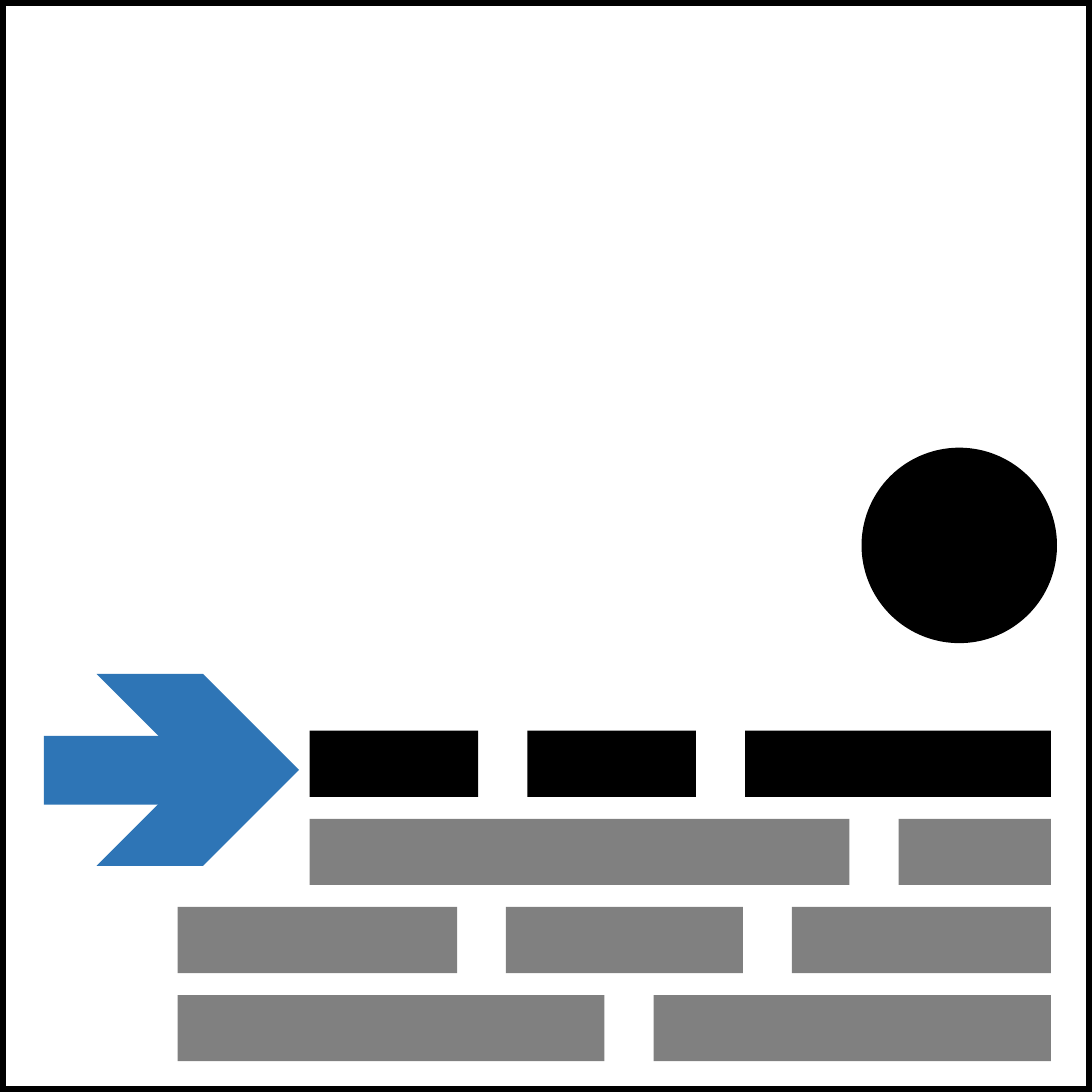
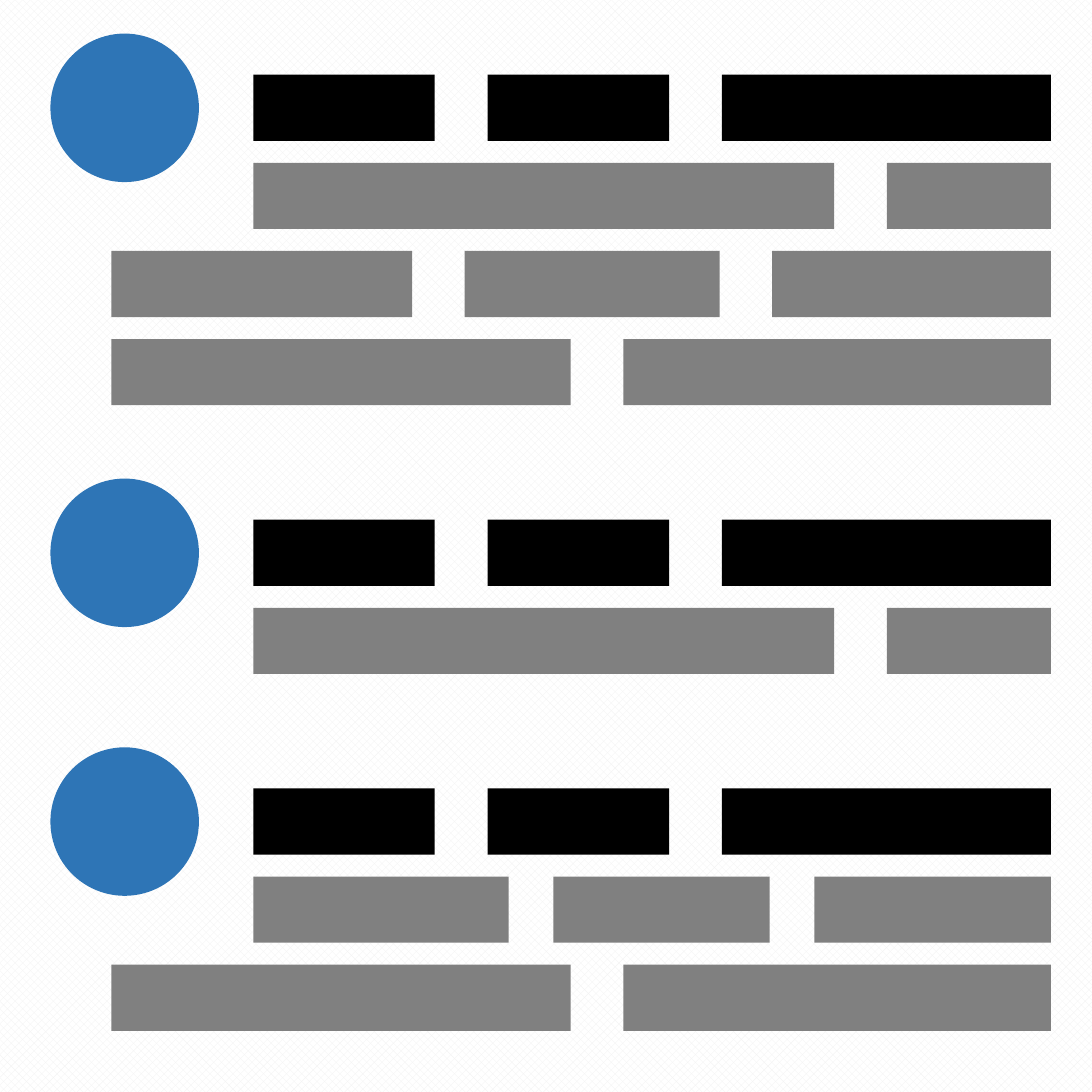
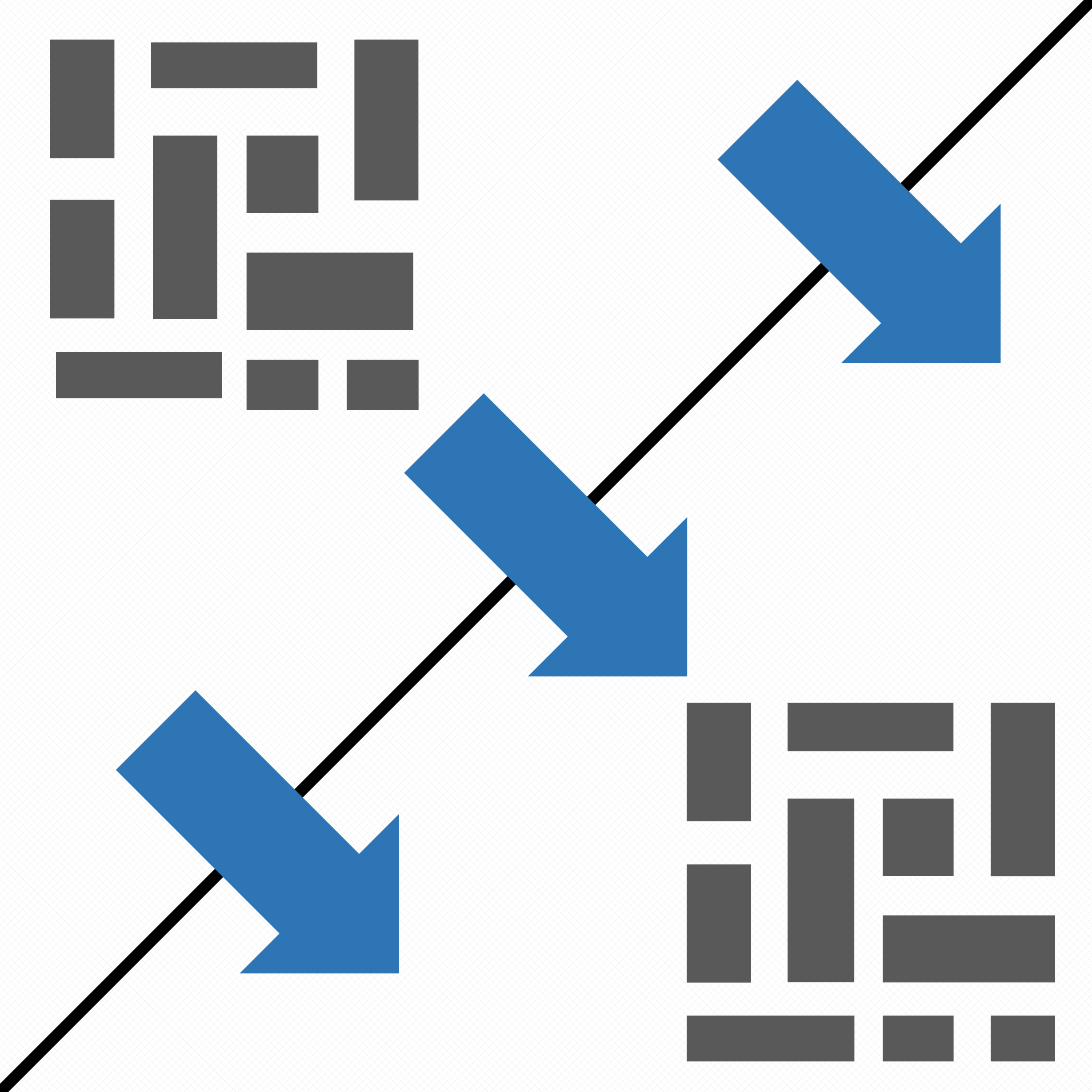
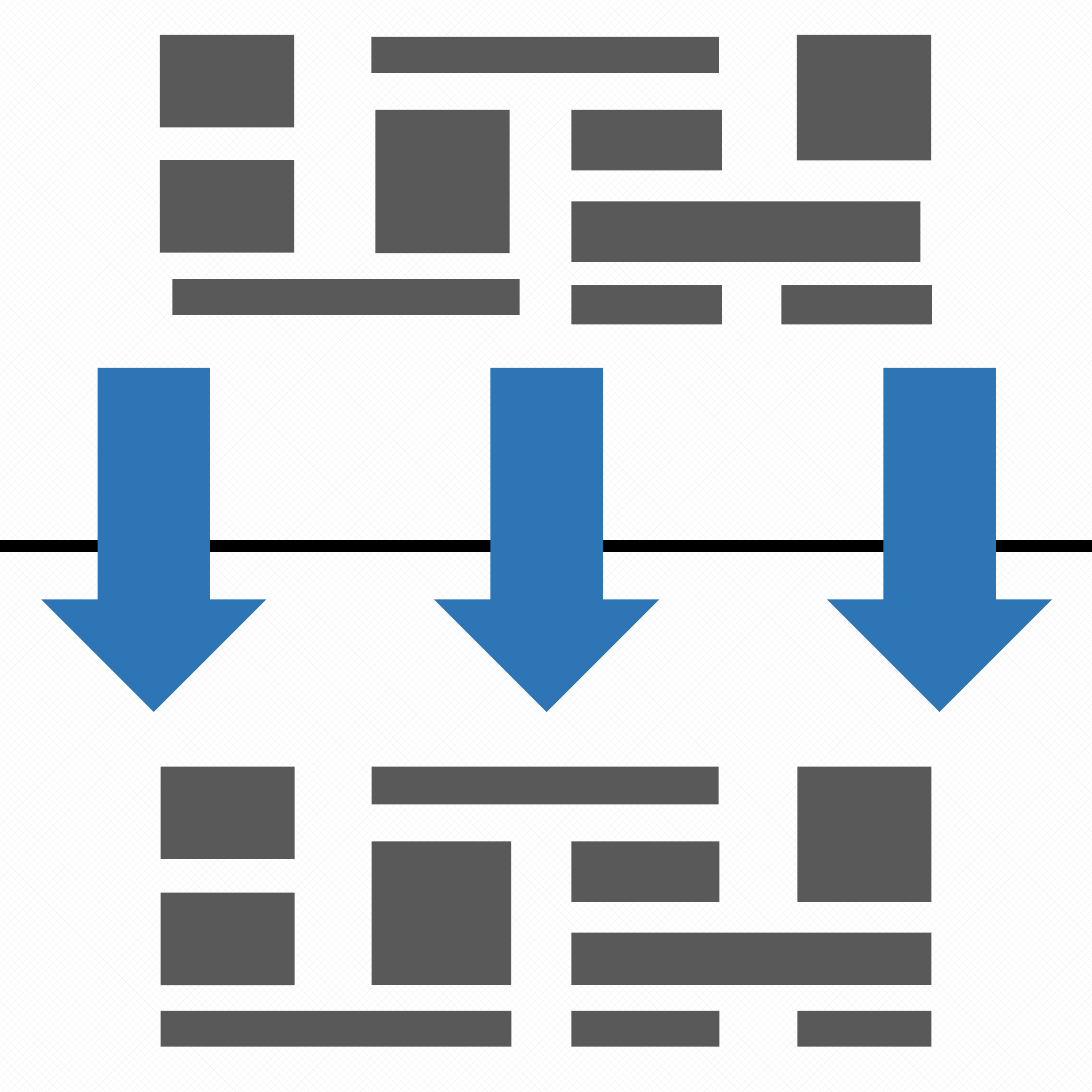
"""Build four square placeholder diagrams: a pointer, a list and two transformations."""
import dataclasses

import pptx
import pptx.dml.color
import pptx.enum.dml
import pptx.enum.shapes
import pptx.oxml
import pptx.oxml.ns
import pptx.shapes.autoshape
import pptx.shapes.shapetree
import pptx.slide
import pptx.util

RGB = pptx.dml.color.RGBColor
PRESET = pptx.enum.shapes.MSO_SHAPE
Tree = pptx.shapes.shapetree._BaseGroupShapes


@dataclasses.dataclass(frozen=True)
class Theme:
    """Colours and stroke shared by all slides."""

    ink: RGB = RGB(0x00, 0x00, 0x00)
    paper: RGB = RGB(0xFF, 0xFF, 0xFF)
    check: RGB = RGB(0xF2, 0xF2, 0xF2)
    body: RGB = RGB(0x80, 0x80, 0x80)
    tile: RGB = RGB(0x59, 0x59, 0x59)
    accent: RGB = RGB(0x2E, 0x75, 0xB6)
    stroke: pptx.util.Length = pptx.util.Pt(6)


@dataclasses.dataclass(frozen=True)
class Box:
    """A rectangle in percent of its surroundings."""

    left: float
    top: float
    width: float
    height: float

    def inside(self, frame: "Box") -> "Box":
        """Return this box, given in percent of frame, in percent of the slide."""
        return Box(
            frame.left + self.left * frame.width / 100,
            frame.top + self.top * frame.height / 100,
            self.width * frame.width / 100,
            self.height * frame.height / 100,
        )


@dataclasses.dataclass(frozen=True)
class TextLine:
    """A row of word bars stretched from its left edge to the right margin."""

    words: tuple[float, ...]
    color: RGB
    outdented: bool = False


THEME = Theme()
SIDE = pptx.util.Cm(20)
WHOLE = Box(0, 0, 100, 100)

RIGHT_MARGIN = 96.25
LINE_HEIGHT = 6.06
LINE_PITCH = 8.07
WORD_GAP = 4.83
PARAGRAPH_GAP = 8.47

HEADING = TextLine((16.6, 16.6, 30.1), THEME.ink)
TWO_WORDS = TextLine((53.1, 15.0), THEME.body)
THREE_WORDS = TextLine((27.6, 23.4, 25.6), THEME.body)
THREE_OUT = dataclasses.replace(THREE_WORDS, outdented=True)
LAST_OUT = TextLine((42.1, 39.2), THEME.body, outdented=True)
FULL_PARAGRAPH = (HEADING, TWO_WORDS, THREE_OUT, LAST_OUT)
LIST_PARAGRAPHS = (
    FULL_PARAGRAPH,
    (HEADING, TWO_WORDS),
    (HEADING, THREE_WORDS, LAST_OUT),
)

UNEVEN_TILES = (
    Box(0, 0, 17.4, 32), Box(27.4, 0.7, 45, 12.4),
    Box(0, 43.3, 17.4, 32), Box(27.9, 25.9, 17.4, 49.5),
    Box(53.3, 25.9, 19.5, 20.9), Box(53.3, 57.5, 45.2, 20.9),
    Box(82.5, 0, 17.4, 43.4), Box(1.6, 84.4, 45, 12.4),
    Box(53.3, 86.5, 19.5, 13.5), Box(80.5, 86.5, 19.5, 13.5),
)
ALIGNED_TILES = (
    Box(0, 0, 17.4, 33), Box(27.4, 0, 45, 13.5),
    Box(0, 45, 17.4, 33), Box(27.4, 26.7, 18.1, 51.2),
    Box(53.3, 26.7, 19.2, 21.6), Box(53.3, 59.3, 46.7, 18.7),
    Box(82.6, 0, 17.4, 48.3), Box(0, 87.2, 45.5, 12.8),
    Box(53.3, 87.2, 19.2, 12.8), Box(82.6, 87.2, 17.4, 12.8),
)


def share(percent: float) -> pptx.util.Length:
    """Turn a percentage of the slide's side into a length."""
    return pptx.util.Emu(round(SIDE * percent / 100))


def draw(shapes: Tree, preset: PRESET, box: Box, color: RGB) -> pptx.shapes.autoshape.Shape:
    """Add a flat, borderless preset shape."""
    shape = shapes.add_shape(
        preset, share(box.left), share(box.top), share(box.width), share(box.height)
    )
    shape.shadow.inherit = False
    shape.fill.solid()
    shape.fill.fore_color.rgb = color
    shape.line.fill.background()
    return shape


def draw_paragraph(
    shapes: Tree, lines: tuple[TextLine, ...], top: float, indent: float, outdent: float
) -> None:
    """Draw lines of word bars below each other."""
    for row, line in enumerate(lines):
        left = outdent if line.outdented else indent
        natural = sum(line.words) + WORD_GAP * (len(line.words) - 1)
        scale = (RIGHT_MARGIN - left) / natural
        for word in line.words:
            bar = Box(left, top + row * LINE_PITCH, word * scale, LINE_HEIGHT)
            draw(shapes, PRESET.RECTANGLE, bar, line.color)
            left += (word + WORD_GAP) * scale


def draw_tiles(slide: pptx.slide.Slide, tiles: tuple[Box, ...], frame: Box) -> None:
    """Draw a group of tiles stretched over a frame."""
    group = slide.shapes.add_group_shape()
    for tile in tiles:
        draw(group.shapes, PRESET.RECTANGLE, tile.inside(frame), THEME.tile)


def draw_divider(slide: pptx.slide.Slide, start: float, end: float) -> None:
    """Draw a line across the slide between two heights on its edges."""
    divider = slide.shapes.add_connector(
        pptx.enum.shapes.MSO_CONNECTOR.STRAIGHT, 0, share(start), SIDE, share(end)
    )
    divider.line.color.rgb = THEME.ink
    divider.line.width = THEME.stroke
    properties = divider._element.spPr
    properties.append(pptx.oxml.parse_xml(
        f"<a:effectLst {pptx.oxml.ns.nsdecls('a')}/>"
    ))


def draw_arrow(slide: pptx.slide.Slide, center: tuple[float, float], angle: float) -> None:
    """Draw a turned block arrow around its centre."""
    length, breadth = 31.5, 20.6
    box = Box(center[0] - length / 2, center[1] - breadth / 2, length, breadth)
    draw(slide.shapes, PRESET.RIGHT_ARROW, box, THEME.accent).rotation = angle


def build_pointer(slide: pptx.slide.Slide) -> None:
    """Draw the framed slide whose arrow points at a paragraph."""
    border = draw(slide.shapes, PRESET.RECTANGLE, WHOLE, THEME.paper)
    border.line.color.rgb = THEME.ink
    border.line.width = THEME.stroke
    draw(slide.shapes, PRESET.OVAL, Box(78.9, 41, 17.9, 17.9), THEME.ink)
    draw_paragraph(slide.shapes, FULL_PARAGRAPH, 66.92, 28.35, 16.26)
    draw(slide.shapes, PRESET.RECTANGLE, Box(4.03, 67.4, 15.4, 6.3), THEME.accent)
    draw(slide.shapes, PRESET.CHEVRON, Box(8.85, 61.72, 18.54, 17.58), THEME.accent)


def build_list(slide: pptx.slide.Slide) -> None:
    """Draw three paragraphs, each with a bullet dot."""
    top, dot = 6.85, 13.6
    for lines in LIST_PARAGRAPHS:
        group = slide.shapes.add_group_shape()
        draw_paragraph(group.shapes, lines, top, 23.2, 10.2)
        draw(slide.shapes, PRESET.OVAL,
             Box(4.62, top + (LINE_HEIGHT - dot) / 2, dot, dot), THEME.accent)
        top += len(lines) * LINE_PITCH + PARAGRAPH_GAP


def build_diagonal(slide: pptx.slide.Slide) -> None:
    """Draw tiles being aligned across a diagonal."""
    draw_divider(slide, 100, 0)
    for center in ((25.4, 78), (80.5, 22.1), (51.8, 50.8)):
        draw_arrow(slide, center, 45)
    draw_tiles(slide, UNEVEN_TILES, Box(4.6, 3.64, 33.75, 33.9))
    draw_tiles(slide, ALIGNED_TILES, Box(62.9, 64.37, 33.7, 32.83))


def build_vertical(slide: pptx.slide.Slide) -> None:
    """Draw tiles being aligned from top to bottom."""
    draw_divider(slide, 50, 50)
    for column in range(3):
        draw_arrow(slide, (14.08 + 35.98 * column, 49.45), 90)
    draw_tiles(slide, UNEVEN_TILES, Box(14.65, 3.2, 70.7, 26.5))
    draw_tiles(slide, ALIGNED_TILES, Box(14.7, 70.2, 70.6, 25.65))


def main() -> None:
    """Build and save the presentation."""
    deck = pptx.Presentation()
    deck.slide_width = deck.slide_height = SIDE
    backdrop = deck.slide_master.background.fill
    backdrop.patterned()
    backdrop.pattern = pptx.enum.dml.MSO_PATTERN.LARGE_CHECKER_BOARD
    backdrop.fore_color.rgb = THEME.check
    backdrop.back_color.rgb = THEME.paper
    blank = deck.slide_layouts.get_by_name("Blank")
    for build in (build_pointer, build_list, build_diagonal, build_vertical):
        build(deck.slides.add_slide(blank))
    deck.save("out.pptx")


if __name__ == "__main__":
    main()
